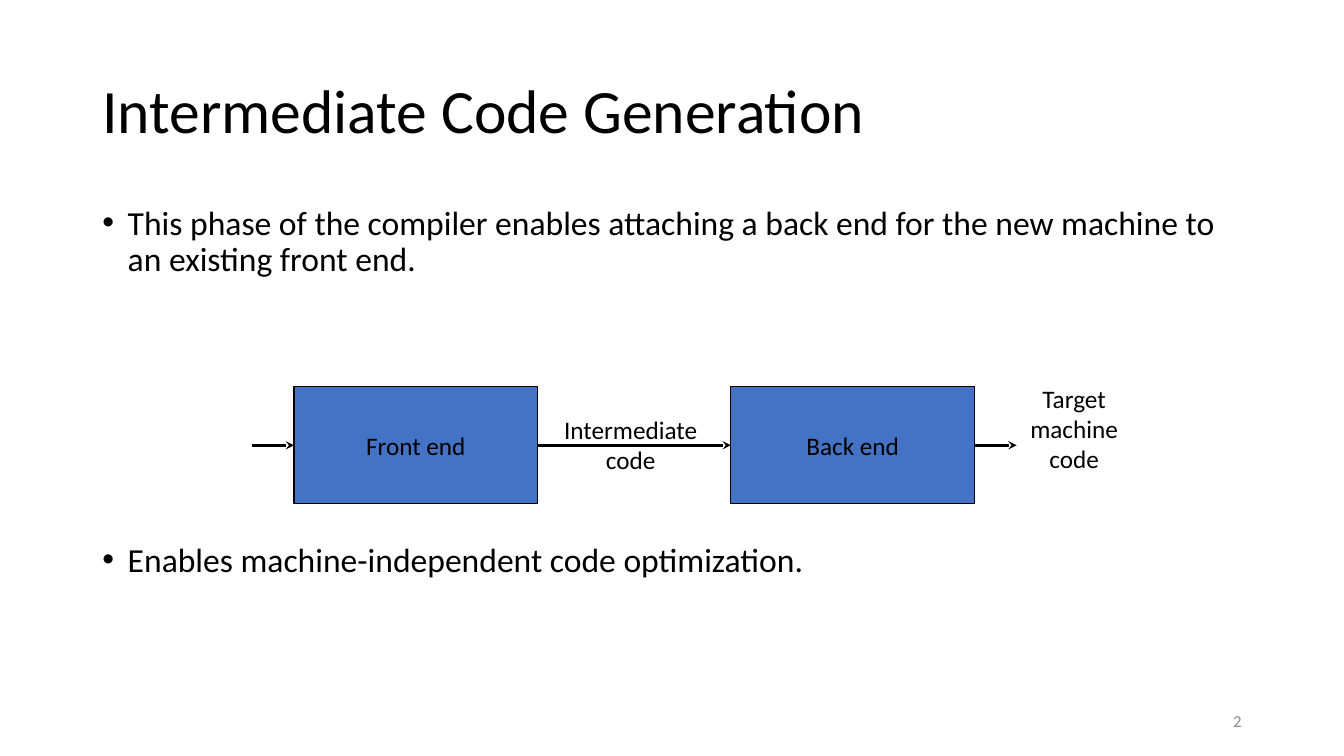
import pptx
import pptx.util
import pptx.dml.color
import pptx.enum.shapes
import pptx.enum.text
import pptx.oxml
import pptx.oxml.ns
from pptx.util import Cm

FONT = "Calibri"
BLACK = "000000"
BLUE = "4472C4"
GREY = "8C8C8C"

BOX_WIDTH = 6.14
BOX_HEIGHT = 2.96
BOX_TOP = 9.74
FRONT_LEFT = 7.41
BACK_LEFT = 18.42
ARROW_Y = BOX_TOP + BOX_HEIGHT / 2
STUB_LENGTH = 1.06

ALIGN = pptx.enum.text.PP_ALIGN
ANCHOR = pptx.enum.text.MSO_ANCHOR


def color(hex_string):
    return pptx.dml.color.RGBColor.from_string(hex_string)


def add_xml(parent, tag, **attributes):
    element = pptx.oxml.parse_xml(f"<a:{tag} {pptx.oxml.ns.nsdecls('a')}/>")
    for name, value in attributes.items():
        element.set(name, value)
    parent.append(element)


def write_lines(paragraph, text, size, font_color=BLACK):
    """Add each line of the text as a run, with a line break between them."""
    for index, line in enumerate(text.split("\n")):
        if index:
            paragraph.add_line_break()
        run = paragraph.add_run()
        run.text = line
        run.font.name = FONT
        run.font.size = pptx.util.Pt(size)
        run.font.color.rgb = color(font_color)


def add_text(slide, text, left, top, width, height, size, font_color=BLACK,
             align=ALIGN.LEFT, anchor=ANCHOR.MIDDLE, wrap=True):
    shape = slide.shapes.add_textbox(Cm(left), Cm(top), Cm(width), Cm(height))
    frame = shape.text_frame
    frame.word_wrap = wrap
    frame.vertical_anchor = anchor
    paragraph = frame.paragraphs[0]
    paragraph.alignment = align
    write_lines(paragraph, text, size, font_color)
    return paragraph


def add_label(slide, text, left, top, width, height):
    add_text(slide, text, left, top, width, height, 18,
             align=ALIGN.CENTER, anchor=ANCHOR.TOP, wrap=False)


def add_bullets(slide, texts, left, top, width, height, gap):
    """Add bulleted paragraphs, leaving the gap in points between them."""
    shape = slide.shapes.add_textbox(Cm(left), Cm(top), Cm(width), Cm(height))
    frame = shape.text_frame
    frame.word_wrap = True
    for index, text in enumerate(texts):
        paragraph = frame.add_paragraph() if index else frame.paragraphs[0]
        paragraph.line_spacing = 0.9
        if index:
            paragraph.space_before = pptx.util.Pt(gap)
        properties = paragraph._p.get_or_add_pPr()
        properties.set("marL", str(Cm(0.64)))
        properties.set("indent", str(-Cm(0.64)))
        add_xml(properties, "buFont", typeface="Arial")
        add_xml(properties, "buChar", char="•")
        write_lines(paragraph, text, 24)


def add_box(slide, text, left):
    shape = slide.shapes.add_shape(
        pptx.enum.shapes.MSO_SHAPE.RECTANGLE,
        Cm(left), Cm(BOX_TOP), Cm(BOX_WIDTH), Cm(BOX_HEIGHT))
    shape.shadow.inherit = False
    shape.fill.solid()
    shape.fill.fore_color.rgb = color(BLUE)
    shape.line.color.rgb = color(BLACK)
    shape.line.width = pptx.util.Pt(0.75)
    frame = shape.text_frame
    frame.word_wrap = False
    frame.vertical_anchor = ANCHOR.MIDDLE
    paragraph = frame.paragraphs[0]
    paragraph.alignment = ALIGN.CENTER
    write_lines(paragraph, text, 18)
    return shape


def add_arrow(slide, start, end, source=None, target=None):
    """Draw an arrow from the right side of source to the left side of target."""
    arrow = slide.shapes.add_connector(
        pptx.enum.shapes.MSO_CONNECTOR.STRAIGHT,
        Cm(start), Cm(ARROW_Y), Cm(end), Cm(ARROW_Y))
    if source is not None:
        arrow.begin_connect(source, 3)
    if target is not None:
        arrow.end_connect(target, 1)
    arrow.line.color.rgb = color(BLACK)
    arrow.line.width = pptx.util.Pt(2)
    add_xml(arrow.line._get_or_add_ln(), "tailEnd", type="stealth")
    add_xml(arrow._element.spPr, "effectLst")


def main():
    presentation = pptx.Presentation()
    presentation.slide_width = Cm(33.87)
    presentation.slide_height = Cm(19.05)
    slide = presentation.slides.add_slide(presentation.slide_layouts[6])

    add_text(slide, "2", 23.92, 17.66, 7.62, 1.01, 12, GREY, ALIGN.RIGHT)
    title = add_text(slide, "Intermediate Code Generation",
                     2.33, 1.01, 29.21, 3.68, 44)
    title.line_spacing = 0.9
    add_bullets(slide, [
        "This phase of the compiler enables attaching a back end for the new "
        "machine to an existing front end.",
        "Enables machine-independent code optimization.",
    ], 2.33, 5.07, 29.21, 12.09, gap=189)

    front = add_box(slide, "Front end", FRONT_LEFT)
    back = add_box(slide, "Back end", BACK_LEFT)
    front_right = FRONT_LEFT + BOX_WIDTH
    back_right = BACK_LEFT + BOX_WIDTH
    add_arrow(slide, FRONT_LEFT - STUB_LENGTH, FRONT_LEFT, target=front)
    add_arrow(slide, front_right, BACK_LEFT, front, back)
    add_arrow(slide, back_right, back_right + STUB_LENGTH, source=back)
    add_label(slide, "Intermediate\ncode", 13.94, 10.31, 3.91, 1.8)
    add_label(slide, "Target\nmachine\ncode", 25.7, 9.53, 2.74, 2.57)

    presentation.save("out.pptx")


if __name__ == "__main__":
    main()
